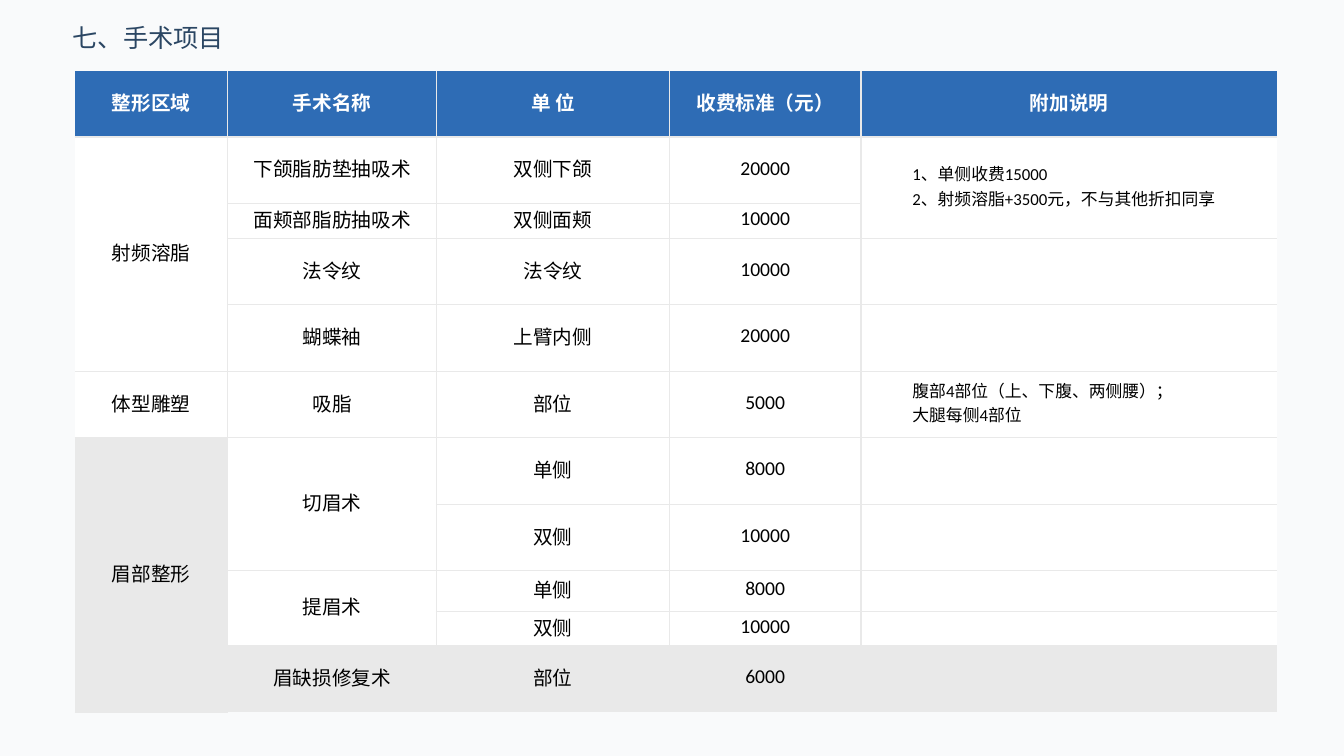
import lxml.etree
import pptx
import pptx.dml.color
import pptx.enum.text
import pptx.oxml.ns
import pptx.util

COLORS = {
    "background": "F9FAFB",
    "title": "2B4663",
    "header": "2E6CB5",
    "white": "FFFFFF",
    "black": "000000",
    "grey": "E9E9E9",
}
LATIN, CJK = "Calibri", "Noto Sans CJK SC"
MIDDLE = pptx.enum.text.MSO_ANCHOR.MIDDLE
ALIGN = pptx.enum.text.PP_ALIGN
qn = pptx.oxml.ns.qn


def rgb(name):
    return pptx.dml.color.RGBColor.from_string(COLORS[name])


def add_run(paragraph, words, size, color, font=LATIN, bold=False):
    run = paragraph.add_run()
    run.text = words
    run.font.size = pptx.util.Pt(size)
    run.font.name = font
    run.font.bold = bold
    run.font.color.rgb = rgb(color)
    lxml.etree.SubElement(run.font._element, qn("a:ea"), typeface=CJK)


deck = pptx.Presentation()
deck.slide_width = pptx.util.Inches(13.33)
deck.slide_height = pptx.util.Inches(7.5)
unit_x = deck.slide_width / 1333
unit_y = deck.slide_height / 750

slide = deck.slides.add_slide(deck.slide_layouts[5])
slide.background.fill.solid()
slide.background.fill.fore_color.rgb = rgb("background")

heading = slide.shapes.title
heading.left, heading.top = int(62 * unit_x), int(1 * unit_y)
heading.width, heading.height = int(1150 * unit_x), int(76 * unit_y)
heading.text_frame.vertical_anchor = MIDDLE
heading_line = heading.text_frame.paragraphs[0]
heading_line.alignment = ALIGN.LEFT
heading_line.line_spacing = 0.9
add_run(heading_line, "七、手术项目", 18, "title")

price_rows = [
    ["整形区域", "手术名称", "单 位", "收费标准（元）", "附加说明"],
    ["射频溶脂", "下颌脂肪垫抽吸术", "双侧下颌", "20000",
     "1、单侧收费15000\n2、射频溶脂+3500元，不与其他折扣同享"],
    ["", "面颊部脂肪抽吸术", "双侧面颊", "10000", ""],
    ["", "法令纹", "法令纹", "10000", ""],
    ["", "蝴蝶袖", "上臂内侧", "20000", ""],
    ["体型雕塑", "吸脂", "部位", "5000", "腹部4部位（上、下腹、两侧腰）；\n大腿每侧4部位"],
    ["眉部整形", "切眉术", "单侧", "8000", ""],
    ["", "", "双侧", "10000", ""],
    ["", "提眉术", "单侧", "8000", ""],
    ["", "", "双侧", "10000", ""],
    ["", "眉缺损修复术", "部位", "6000", ""],
]
column_units = [152, 207, 231, 190, 413]
row_units = [66, 66, 34, 66, 66, 66, 66, 66, 40, 34, 66]
last_row, last_column = len(row_units) - 1, len(column_units) - 1
NOTES = last_column

prices = slide.shapes.add_table(
    len(row_units), len(column_units), int(74 * unit_x), int(70 * unit_y),
    int(sum(column_units) * unit_x), int(sum(row_units) * unit_y)).table
prices.horz_banding = False
for column, units in zip(prices.columns, column_units):
    column.width = int(units * unit_x)
for row, units in zip(prices.rows, row_units):
    row.height = int(units * unit_y)

for column, first, last in [(0, 1, 4), (NOTES, 1, 2), (0, 6, 10), (1, 6, 7), (1, 8, 9)]:
    prices.cell(first, column).merge(prices.cell(last, column))

for r, entries in enumerate(price_rows):
    for c, entry in enumerate(entries):
        cell = prices.cell(r, c)
        cell.vertical_anchor = MIDDLE
        cell.margin_left = cell.margin_right = cell.margin_top = pptx.util.Inches(0.01)
        cell.margin_bottom = pptx.util.Inches(0.05)

        inner_edges = {"L": c > 0, "R": c < last_column, "T": r > 0, "B": r < last_row}
        for side, inner in inner_edges.items():
            edge = lxml.etree.SubElement(
                cell._tc.get_or_add_tcPr(), qn(f"a:ln{side}"), w=str(pptx.util.Pt(1)))
            if inner:
                paint = lxml.etree.SubElement(edge, qn("a:solidFill"))
                lxml.etree.SubElement(paint, qn("a:srgbClr"), val=COLORS["grey"])
            else:
                lxml.etree.SubElement(edge, qn("a:noFill"))

        shaded = r == last_row or (c == 0 and r >= 6)
        cell.fill.solid()
        cell.fill.fore_color.rgb = rgb("header" if r == 0 else "grey" if shaded else "white")

        if not entry:
            lxml.etree.SubElement(
                cell.text_frame.paragraphs[0]._p, qn("a:endParaRPr"), sz="1200")
            continue
        for i, words in enumerate(entry.split("\n")):
            line = cell.text_frame.add_paragraph() if i else cell.text_frame.paragraphs[0]
            if r == 0:
                line.alignment = ALIGN.CENTER
                add_run(line, words, 14, "white", CJK, True)
            elif c == NOTES:
                line.level = 1
                indent = line._p.get_or_add_pPr()
                indent.set("marL", str(pptx.util.Inches(0.5)))
                indent.set("indent", "0")
                add_run(line, words, 12, "black")
            else:
                line.alignment = ALIGN.CENTER
                add_run(line, words, 14, "black")

deck.save("out.pptx")
